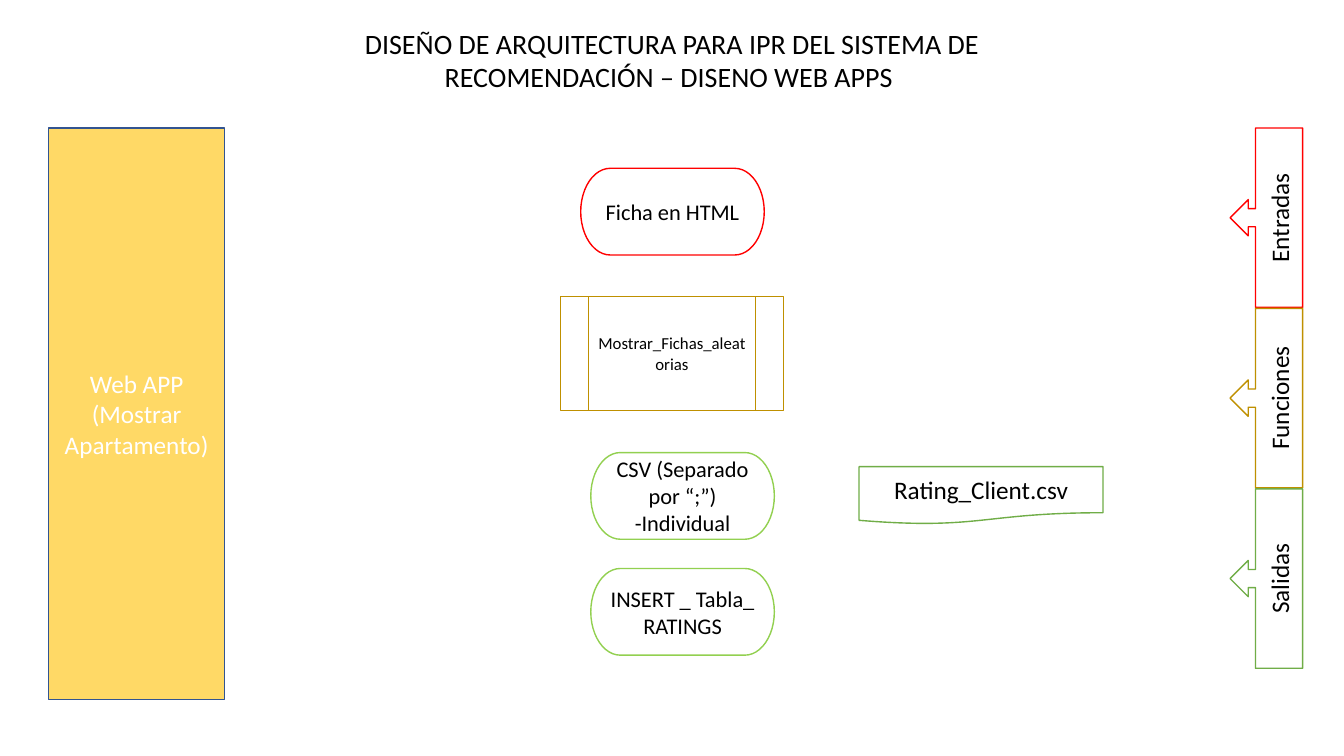
from pptx import Presentation
from pptx.dml.color import RGBColor
from pptx.enum import shapes, text
from pptx.util import Inches, Pt

SHAPE = shapes.MSO_SHAPE
RED, GOLD, GREEN, LIME = "FF0000", "BF9000", "70AD47", "92D050"

prs = Presentation()
prs.slide_width, prs.slide_height = Inches(13.33), Inches(7.5)
s = prs.slides.add_slide(prs.slide_layouts[6])


def write(sp, words, size, color="000000"):
    tf = sp.text_frame
    tf.word_wrap = True
    p = tf.paragraphs[0]
    p.alignment = text.PP_ALIGN.CENTER
    r = p.add_run()
    r.text = words
    r.font.name = "Calibri"
    r.font.size = Pt(size)
    r.font.color.rgb = RGBColor.from_string(color)


def box(kind, at, words, size, line, fill="FFFFFF", color="000000"):
    sp = s.shapes.add_shape(kind, *[Inches(n) for n in at])
    sp.shadow.inherit = False
    if fill:
        sp.fill.solid()
        sp.fill.fore_color.rgb = RGBColor.from_string(fill)
    else:
        sp.fill.background()
    sp.line.color.rgb = RGBColor.from_string(line)
    sp.line.width = Pt(1)
    sp.text_frame.vertical_anchor = text.MSO_ANCHOR.MIDDLE
    write(sp, words, size, color)
    return sp


# Title
title = s.shapes.add_textbox(Inches(3.01), Inches(0.21), Inches(7.31), Inches(0.77))
title.text_frame.auto_size = text.MSO_AUTO_SIZE.SHAPE_TO_FIT_TEXT
write(title, "DISEÑO DE ARQUITECTURA PARA IPR DEL SISTEMA DE "
             "RECOMENDACIÓN – DISENO WEB APPS ", 20)

# Web app column
box(SHAPE.RECTANGLE, (0.48, 1.27, 1.75, 5.67), "Web APP (Mostrar Apartamento)", 18,
    "325491", "FFD966", "FFFFFF")

# Function
box(SHAPE.FLOWCHART_PREDEFINED_PROCESS, (5.56, 2.94, 2.21, 1.13),
    "Mostrar_Fichas_aleatorias", 12, GOLD, None)

# Input and outputs
for left, top, words, line in [
    (5.76, 1.67, "Ficha en HTML", RED),
    (5.86, 4.49, "CSV (Separado por “;”) -Individual", LIME),
    (5.86, 5.64, "INSERT _ Tabla_ RATINGS", LIME),
]:
    box(SHAPE.FLOWCHART_TERMINATOR, (left, top, 1.82, 0.86), words, 16, line)

# Output file
box(SHAPE.FLOWCHART_DOCUMENT, (8.52, 4.63, 2.42, 0.57), "Rating_Client.csv", 18, GREEN)

# Row labels on the right
for i, (words, line) in enumerate(
        [("Entradas", RED), ("Funciones", GOLD), ("Salidas", GREEN)]):
    sp = box(SHAPE.LEFT_ARROW_CALLOUT, (12.2, 1.27 + 1.79 * i, 0.72, 1.78),
             words, 18, line)
    sp.text_frame._txBody.bodyPr.set("vert", "vert270")

prs.save("out.pptx")
